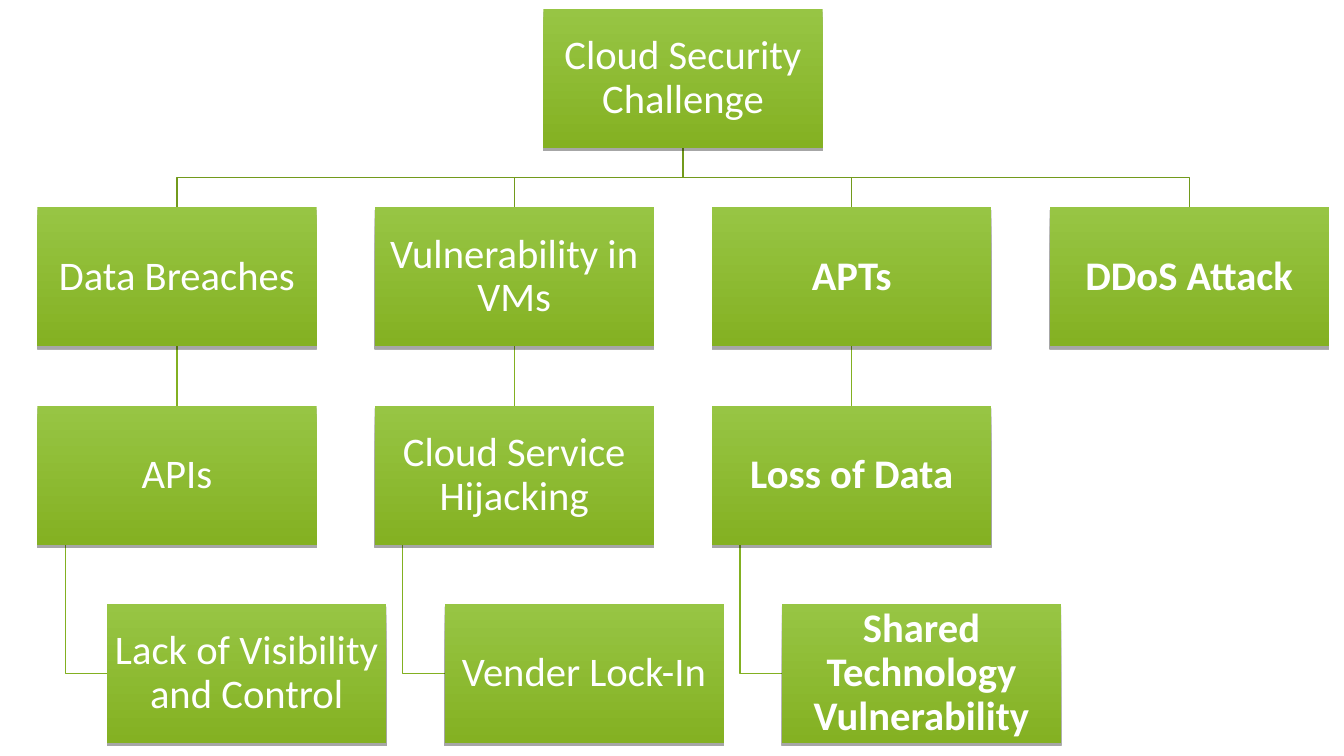
import pptx
import pptx.dml.color
import pptx.enum.shapes
import pptx.enum.text
import pptx.oxml
import pptx.oxml.ns
import pptx.util
from dataclasses import dataclass

Inches = pptx.util.Inches
Pt = pptx.util.Pt
RGB = pptx.dml.color.RGBColor.from_string


@dataclass(frozen=True)
class Theme:
    font: str = "Calibri"
    size: int = 29
    text: str = "FFFFFF"
    box_top: str = "97C544"
    box_bottom: str = "84B122"
    trunk: str = "729A1C"
    twig: str = "82B021"
    line_width: float = 1


@dataclass(frozen=True)
class Box:
    left: float
    top: float
    width: float
    height: float

    @property
    def center(self):
        return self.left + self.width / 2

    @property
    def bottom(self):
        return self.top + self.height


THEME = Theme()
CHART_AREA = Box(0.37, 0.09, 12.81, 7.28)
CARD_WIDTH, CARD_HEIGHT = 2.77, 1.38
LEAF_INDENT = CARD_WIDTH / 4
STEM_INDENT = CARD_WIDTH / 10

ROOT = "Cloud Security Challenge"
BRANCHES = [
    (["Data Breaches", "APIs", "Lack of Visibility and Control"], False),
    (["Vulnerability in VMs", "Cloud Service Hijacking", "Vender Lock-In"], False),
    (["APTs", "Loss of Data", "Shared Technology Vulnerability"], True),
    (["DDoS Attack"], True),
]
LEVELS = 4
COLUMN_PITCH = (CHART_AREA.width - CARD_WIDTH) / (len(BRANCHES) - 1)
LEVEL_PITCH = (CHART_AREA.height - CARD_HEIGHT) / (LEVELS - 1)

SHADOW = (
    '<a:outerShdw %s blurRad="0" dist="25400" dir="5400000" algn="ctr" rotWithShape="0">'
    '<a:srgbClr val="000000"><a:alpha val="35000"/></a:srgbClr></a:outerShdw>'
    % pptx.oxml.ns.nsdecls("a")
)


def apply_format(target, values):
    for name, value in values.items():
        setattr(target, name, value)


def add_card(slide, box, label, bold=False):
    card = slide.shapes.add_shape(
        pptx.enum.shapes.MSO_SHAPE.RECTANGLE,
        *map(Inches, (box.left, box.top, box.width, box.height)))
    card.fill.gradient()
    card.fill.gradient_angle = 270
    for stop, color in zip(card.fill.gradient_stops, (THEME.box_top, THEME.box_bottom)):
        stop.color.rgb = RGB(color)
    card.line.fill.background()
    card.shadow.inherit = False
    effects = card._element.spPr.find(pptx.oxml.ns.qn("a:effectLst"))
    effects.append(pptx.oxml.parse_xml(SHADOW))

    frame = card.text_frame
    margins = dict.fromkeys(
        ("margin_left", "margin_top", "margin_right", "margin_bottom"), Inches(0.02))
    apply_format(frame, {
        **margins, "word_wrap": True,
        "vertical_anchor": pptx.enum.text.MSO_ANCHOR.MIDDLE})
    paragraph = frame.paragraphs[0]
    apply_format(paragraph, {
        "alignment": pptx.enum.text.PP_ALIGN.CENTER,
        "line_spacing": 0.9, "space_after": Pt(12)})
    run = paragraph.add_run()
    run.text = label
    apply_format(run.font, {"name": THEME.font, "size": Pt(THEME.size), "bold": bold})
    run.font.color.rgb = RGB(THEME.text)


def style_link(link, color):
    link.line.color.rgb = RGB(color)
    link.line.width = Pt(THEME.line_width)


def add_elbow(slide, points, color):
    """Draw an open line with square corners through the points."""
    start, *rest = [tuple(map(Inches, point)) for point in points]
    builder = slide.shapes.build_freeform(*start)
    builder.add_line_segments(rest, close=False)
    elbow = builder.convert_to_shape()
    elbow.fill.background()
    elbow.shadow.inherit = False
    style_link(elbow, color)


def link_root(slide, root, head):
    middle = (root.bottom + head.top) / 2
    add_elbow(slide, [(root.center, root.bottom), (root.center, middle),
                      (head.center, middle), (head.center, head.top)], THEME.trunk)


def link_child(slide, head, child):
    link = slide.shapes.add_connector(
        pptx.enum.shapes.MSO_CONNECTOR.STRAIGHT,
        *map(Inches, (head.center, head.bottom, child.center, child.top)))
    link._element.spPr.append(pptx.oxml.parse_xml(
        "<a:effectLst %s/>" % pptx.oxml.ns.nsdecls("a")))
    style_link(link, THEME.twig)


def link_leaf(slide, child, leaf):
    stem = child.left + STEM_INDENT
    middle = leaf.top + leaf.height / 2
    add_elbow(slide, [(stem, child.bottom), (stem, middle), (leaf.left, middle)],
              THEME.twig)


def add_branch(slide, left, root, labels, bold):
    """Place one column of cards under the root, the last level indented."""
    indents = (0, 0, LEAF_INDENT)
    boxes = [Box(left + indent, root.top + level * LEVEL_PITCH, CARD_WIDTH, CARD_HEIGHT)
             for level, indent in enumerate(indents[:len(labels)], start=1)]
    links = (link_root, link_child, link_leaf)
    for link, upper, lower in zip(links, [root] + boxes, boxes):
        link(slide, upper, lower)
    for box, label in zip(boxes, labels):
        add_card(slide, box, label, bold)


def add_hierarchy(slide, area):
    root = Box(area.center - CARD_WIDTH / 2, area.top, CARD_WIDTH, CARD_HEIGHT)
    for column, (labels, bold) in enumerate(BRANCHES):
        add_branch(slide, area.left + column * COLUMN_PITCH, root, labels, bold)
    add_card(slide, root, ROOT)


def main():
    deck = pptx.Presentation()
    apply_format(deck, {"slide_width": Inches(13.33), "slide_height": Inches(7.5)})
    slide = deck.slides.add_slide(deck.slide_layouts.get_by_name("Blank"))
    add_hierarchy(slide, CHART_AREA)
    deck.save("out.pptx")


if __name__ == "__main__":
    main()
